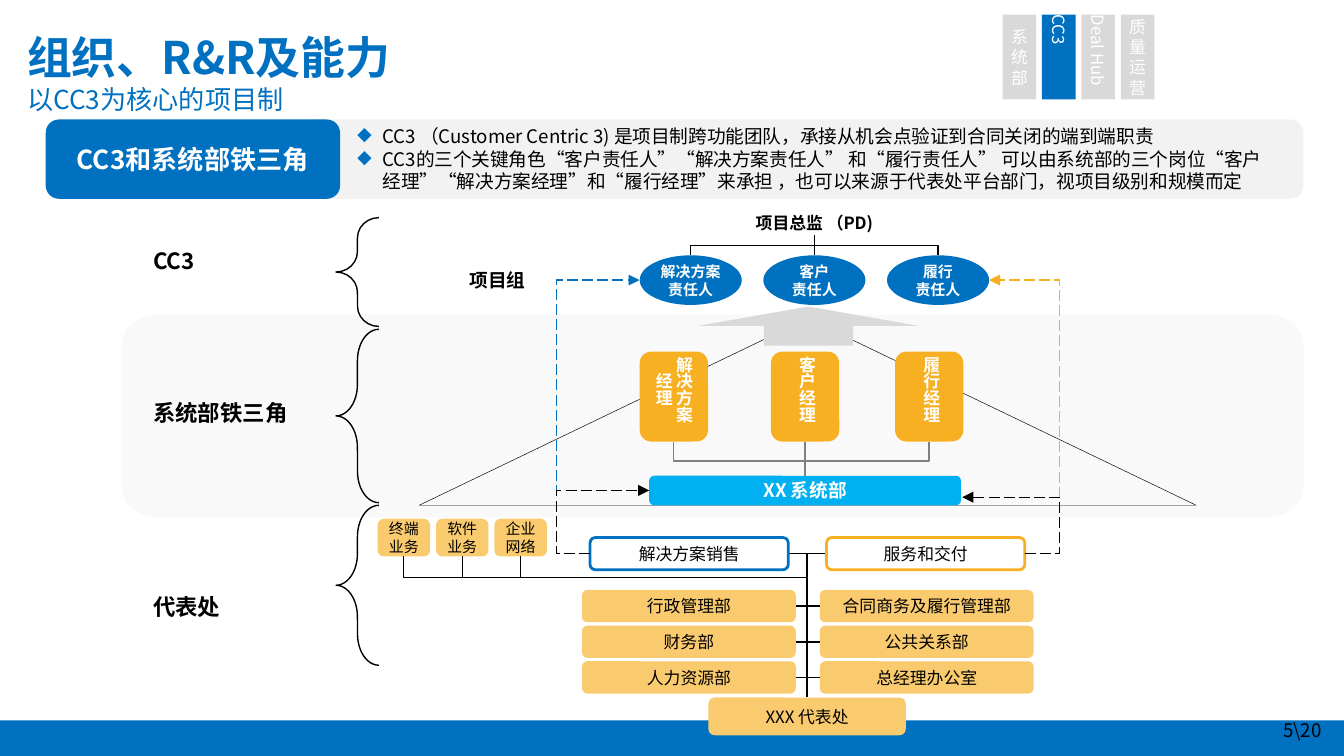
from lxml.etree import SubElement
from pptx import Presentation
from pptx.dml.color import RGBColor
from pptx.enum.dml import MSO_LINE
from pptx.enum.shapes import MSO_CONNECTOR, MSO_SHAPE
from pptx.enum.text import MSO_ANCHOR, PP_ALIGN
from pptx.oxml.ns import qn
from pptx.util import Pt

FONT = "Noto Sans CJK SC"
HEX = {
    "blue": "0070C0", "sky": "00B0F0", "gold": "F7B021", "sand": "FACB6E",
    "pale": "F2F2F2", "grey": "D9D9D9", "mid": "808080", "white": "FFFFFF", "black": "000000",
}
ROUND, RECT, OVAL = MSO_SHAPE.ROUNDED_RECTANGLE, MSO_SHAPE.RECTANGLE, MSO_SHAPE.OVAL

# Content
TITLE = "组织、R&R及能力\v以CC3为核心的项目制"
TABS = [("系\n统\n部", "grey", False), ("CC3", "blue", True),
        ("Deal Hub", "grey", True), ("质\n量\n运\n营", "grey", False)]
TOPIC = "CC3和系统部铁三角"
POINTS = (
    "CC3 （Customer Centric 3) 是项目制跨功能团队，承接从机会点验证到合同关闭的端到端职责\n"
    "CC3的三个关键角色“客户责任人”“解决方案责任人” 和“履行责任人” 可以由系统部的三个岗位“客户\v"
    "经理”“解决方案经理”和“履行经理”来承担 ，也可以来源于代表处平台部门，视项目级别和规模而定"
)
# label, label top, brace top, brace height, brace curve
LEVELS = [("CC3", 129.6, 116.6, 58.3, 0.475),
          ("系统部铁三角", 211, 176.4, 92.9, 0.733),
          ("代表处", 314.6, 270.7, 85.7, 0.733)]
OWNERS = ["解决方案责任人", "客户\n责任人", "履行\n责任人"]
# text, left, line spacing
LEADS = [("解决方案经理", 342.7, 1), ("客户经理", 413, 0.8), ("履行经理", 479.5, 0.8)]
UNITS = ["终端\n业务", "软件\n业务", "企业\n网络"]
DEPTS = [("行政管理部", "合同商务及履行管理部"), ("财务部", "公共关系部"),
         ("人力资源部", "总经理办公室")]

prs = Presentation()
prs.slide_width, prs.slide_height = Pt(720), Pt(405)
slide = prs.slides.add_slide(prs.slide_layouts[6])
shapes = slide.shapes


def rgb(name):
    return RGBColor.from_string(HEX[name])


def put(item, values):
    for key, val in values.items():
        setattr(item, key, val)


def style(run, size, hue, bold):
    put(run.font, {"size": Pt(size), "bold": bold, "name": FONT})
    run.font.color.rgb = rgb(hue)
    SubElement(run.font._element, qn("a:ea"), typeface=FONT)


def write(item, text, size=9, hue="black", bold=False, align=PP_ALIGN.CENTER,
          pad=(0, 0), anchor=MSO_ANCHOR.MIDDLE, space=None, vert=False, mark=None):
    frame = item.text_frame
    put(frame, {"word_wrap": True, "vertical_anchor": anchor,
                "margin_left": Pt(pad[0]), "margin_right": Pt(pad[0]),
                "margin_top": Pt(pad[1]), "margin_bottom": Pt(pad[1])})
    if vert:
        frame._txBody.bodyPr.set("vert", "eaVert")
    for num, line in enumerate(text.split("\n")):
        para = frame.add_paragraph() if num else frame.paragraphs[0]
        para.text = line
        put(para, {"alignment": align, "line_spacing": space})
        if mark:
            props = para._p.get_or_add_pPr()
            props.set("marL", str(Pt(13.5)))
            props.set("indent", str(-Pt(13.5)))
            tint = SubElement(props, qn("a:buClr"))
            SubElement(tint, qn("a:srgbClr"), val=HEX["blue"])
            SubElement(props, qn("a:buChar"), char=mark)
        for run in para.runs:
            style(run, size, hue, bold)


def box(kind, at, fill=None, line=None, width=0.75, text="", adj=(), **form):
    item = shapes.add_shape(kind, *map(Pt, at))
    item.shadow.inherit = False
    for num, val in enumerate(adj):
        item.adjustments[num] = val
    if fill:
        item.fill.solid()
        item.fill.fore_color.rgb = rgb(fill)
    else:
        item.fill.background()
    if line:
        item.line.color.rgb = rgb(line)
        item.line.width = Pt(width)
    else:
        item.line.fill.background()
    if text:
        write(item, text, **form)
    return item


def label(at, text, **form):
    item = shapes.add_textbox(*map(Pt, at))
    write(item, text, **form)
    return item


def wire(start, end, hue="black", kind=MSO_CONNECTOR.STRAIGHT):
    item = shapes.add_connector(kind, *map(Pt, start + end))
    item.line.color.rgb = rgb(hue)
    item.line.width = Pt(0.75)
    SubElement(item._element.spPr, qn("a:effectLst"))
    return item


def join(first, side, last, other, hue="black"):
    item = wire((0, 0), (0, 0), hue)
    item.begin_connect(first, side)
    item.end_connect(last, other)


def corner(start, end, hue="black"):
    """Run across from start, then up or down to end."""
    item = wire(start, end, hue, MSO_CONNECTOR.ELBOW)
    item._element.spPr.find(qn("a:prstGeom")).set("prst", "bentConnector2")


def detour(start, end, turn, hue):
    """Dashed arrow that goes across to x = turn and comes back to end."""
    item = wire(start, end, hue, MSO_CONNECTOR.ELBOW)
    item.line.dash_style = MSO_LINE.LONG_DASH
    ratio = round((turn - start[0]) / (end[0] - start[0]) * 100000)
    guides = item._element.spPr.find(qn("a:prstGeom")).find(qn("a:avLst"))
    SubElement(guides, qn("a:gd"), name="adj1", fmla=f"val {ratio}")
    SubElement(item.line._get_or_add_ln(), qn("a:tailEnd"), type="triangle")


# Background and heading
box(RECT, (-2, 386, 722, 20), "blue")
band = box(ROUND, (64.8, 168.5, 633.6, 108.7), "pale")
tint = band.fill._xPr.find(qn("a:solidFill"))[0]
SubElement(tint, qn("a:alpha"), val="40000")
box(ROUND, (161.3, 64, 537, 42.5), "pale")
box(MSO_SHAPE.ISOSCELES_TRIANGLE, (224.6, 170.6, 416.2, 100.1), line="black", width=0.25)
head = label((11.5, 13.7, 219.6, 49.7), TITLE, size=24, hue="blue", bold=True,
             align=PP_ALIGN.LEFT, pad=(3, 3))
put(head.text_frame.paragraphs[0].runs[1].font, {"size": Pt(14), "bold": False})
box(ROUND, (24.5, 64, 157.7, 42.5), "blue", text=TOPIC, size=14, hue="white", bold=True,
    pad=(6.5, 3))
label((185, 64, 507, 42.5), POINTS, size=10, align=PP_ALIGN.LEFT, pad=(6.5, 3),
      anchor=MSO_ANCHOR.TOP, mark="◆")
for num, (text, fill, vert) in enumerate(TABS):
    box(RECT, (537.1 + 21.1 * num, 7.9, 18, 45.4), fill, text=text, hue="white", vert=vert)

# Level names and braces
for text, top, peak, tall, curve in LEVELS:
    label((75.6, top, 88.6, 21), text, size=12, bold=True, align=PP_ALIGN.LEFT,
          pad=(6.5, 3), anchor=MSO_ANCHOR.TOP)
    box(MSO_SHAPE.LEFT_BRACE, (180, peak, 23, tall), line="black", adj=(curve, 0.5))

# Project team
label((219, 141, 95, 18), "项目组", size=10, bold=True, pad=(6.5, 3), anchor=MSO_ANCHOR.TOP)
chief = box(ROUND, (376.2, 113, 120.2, 13), "white", text="项目总监 （PD)", bold=True,
            adj=(0.352,))
owners = [box(OVAL, (342.7 + 66.25 * num, 136.8, 54.7, 26.6), "blue", text=text, size=8,
              hue="white", bold=True, pad=(0, 3)) for num, text in enumerate(OWNERS)]
join(chief, 2, owners[1], 0)
for mid in (370.05, 502.55):
    corner((436.3, 131.4), (mid, 136.8))
box(MSO_SHAPE.UP_ARROW, (373.7, 164.2, 118.8, 20.9), "grey", adj=(0.403, 0.5))

# Account triangle
leads = [box(ROUND, (left, 188.4, 36.6, 48.2), "gold", text=text, hue="white", bold=True,
             pad=(3.6, 0.7), vert=True, space=space) for text, left, space in LEADS]
account = box(ROUND, (347.8, 254.9, 167, 15.8), "sky", text="XX 系统部", size=10, hue="white",
              bold=True, pad=(3, 1.5))
join(leads[1], 2, account, 0, "mid")
for num in (0, 2):
    corner((431.3, 247), (LEADS[num][1] + 18.3, 236.6), "mid")

# Regional office
TRUNK, BUS, MID = 432.4, 309.6, 296.65
for num, text in enumerate(UNITS):
    left = 202.3 + 31.3 * num
    box(ROUND, (left, 277.9, 28.1, 20.2), "sand", text=text, size=8)
    corner((TRUNK, BUS), (left + 14.05, 298.1))
for left, text, line, edge in [(316.1, "解决方案销售", "blue", 422.3),
                               (442.8, "服务和交付", "gold", 442.8)]:
    corner((edge, MID), (TRUNK, 373.7))
    box(ROUND, (left, 288, 106.2, 17.3), "white", line, 1.5, text, pad=(6.5, 3))
for row, pair in enumerate(DEPTS):
    left, right = [box(ROUND, (x, 316.1 + 19.1 * row, 114.5, 17.3), "sand", text=text,
                       pad=(6.5, 3)) for x, text in zip((311.8, 439.2), pair)]
    join(left, 3, right, 1)
box(ROUND, (379.5, 373.7, 105.8, 20.2), "sand", text="XXX 代表处", pad=(6.5, 3))

# Staffing arrows
for start, end, turn, hue in [(316.1, (342.7, 150.1), 298.1, "blue"),
                              (316.1, (347.8, 262.8), 298.1, "black"),
                              (549, (529.9, 150.1), 567.7, "gold"),
                              (549, (515.5, 266.4), 567.7, "black")]:
    detour((start, MID), end, turn, hue)

label((680.4, 380.2, 39.6, 21.6), "5\\20", size=10, align=PP_ALIGN.LEFT, pad=(7.2, 3.6))

prs.save("out.pptx")
